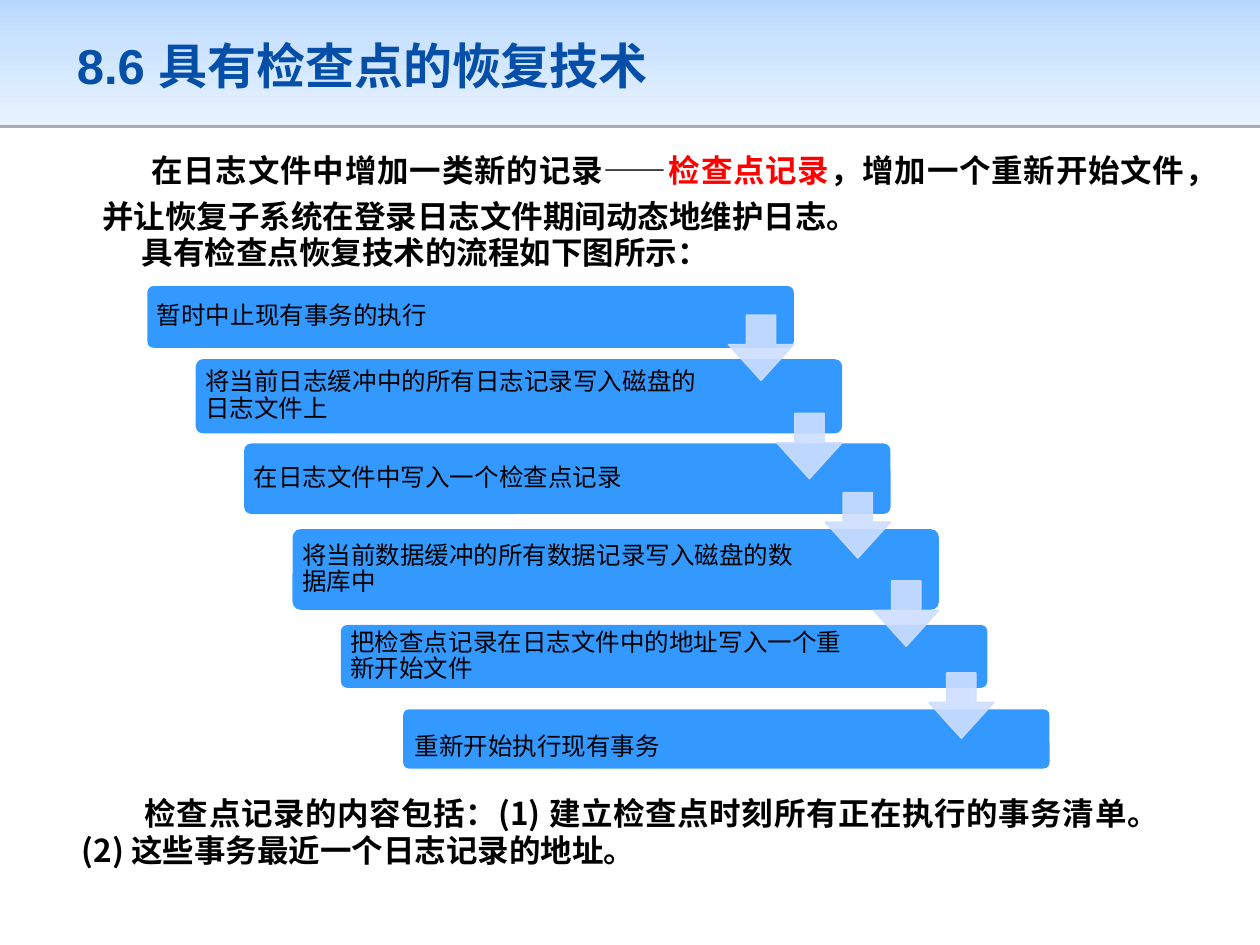
import pptx
import pptx.dml.color
import pptx.enum.shapes
import pptx.enum.text
import pptx.oxml
import pptx.oxml.ns
import pptx.util

RGBColor = pptx.dml.color.RGBColor
BLACK = RGBColor(0x00, 0x00, 0x00)
RED = RGBColor(0xFF, 0x00, 0x00)
TITLE_BLUE = RGBColor(0x05, 0x4F, 0xA9)
STEP_BLUE = RGBColor(0x33, 0x99, 0xFF)
ARROW_BLUE = RGBColor(0xCE, 0xDE, 0xFF)
HEADER_STOPS = [
    (0, RGBColor(0xB7, 0xD9, 0xFF)),
    (35, RGBColor(0xCB, 0xE3, 0xFF)),
    (100, RGBColor(0xE8, 0xF3, 0xFF)),
]

CELL = pptx.util.Inches(0.1)
COLUMNS, ROWS = 100, 75
CJK_FONT = "Noto Sans CJK SC"
SHAPES = pptx.enum.shapes.MSO_SHAPE
ANCHORS = pptx.enum.text.MSO_ANCHOR
ALIGN = pptx.enum.text.PP_ALIGN
NAMESPACE = pptx.oxml.ns.nsdecls("a")

BOLD_TEXT = {"size": pptx.util.Pt(18), "bold": True, "name": CJK_FONT}
STEP_TEXT = {"size": pptx.util.Pt(14), "bold": False, "name": CJK_FONT}
TITLE_TEXT = {"size": pptx.util.Pt(28), "bold": True, "name": "Arial"}
STEP_PARAGRAPH = {"line_spacing": 0.9, "space_after": pptx.util.Pt(5)}
STEP_FRAME = {"vertical_anchor": ANCHORS.MIDDLE} | {
    f"margin_{side}": 0.6 * CELL for side in ("left", "top", "right", "bottom")
}

STEP_WIDTH, ARROW_SIZE, STAIR = 51.3, 5.2, 3.84
STEPS = [
    ("暂时中止现有事务的执行", 22.7, 4.9),
    ("将当前日志缓冲中的所有日志记录写入磁盘的日志文件上", 28.5, 5.9),
    ("在日志文件中写入一个检查点记录", 35.2, 5.6),
    ("将当前数据缓冲的所有数据记录写入磁盘的数据库中", 42, 6.4),
    ("把检查点记录在日志文件中的地址写入一个重新开始文件", 49.6, 5),
]
ARROW_ROWS = [25, 32.8, 39.1, 46.1]


def cells(*counts):
    return [round(count * CELL) for count in counts]


def apply(target, values):
    for name, value in values.items():
        setattr(target, name, int(value) if name.startswith("margin") else value)


def place(shape, *counts):
    apply(shape, dict(zip(("left", "top", "width", "height"), cells(*counts))))


def write(shape, spans, text_format, frame_format=None, paragraph_format=None, indent=(0, 0)):
    frame = shape.text_frame
    apply(frame, {"word_wrap": True, "auto_size": pptx.enum.text.MSO_AUTO_SIZE.NONE})
    apply(frame, frame_format or {})
    para = frame.paragraphs[0]
    apply(para, paragraph_format or {})
    margin, first_line = cells(*indent)
    properties = para._p.get_or_add_pPr()
    properties.set("marL", str(margin))
    properties.set("indent", str(first_line))
    properties.append(pptx.oxml.parse_xml(f"<a:buNone {NAMESPACE}/>"))
    for text, color in spans:
        span = para.add_run()
        span.text = text
        apply(span.font, text_format)
        span.font.color.rgb = color
        span.font._element.append(
            pptx.oxml.parse_xml(f'<a:ea {NAMESPACE} typeface="{CJK_FONT}"/>')
        )


def add_box(page, *counts):
    return page.shapes.add_textbox(*cells(*counts))


def add_header(page):
    header = page.shapes.add_shape(SHAPES.RECTANGLE, *cells(0, 0, COLUMNS, 9.9))
    stops = "".join(
        f'<a:gs pos="{share * 1000}"><a:srgbClr val="{color}"/></a:gs>'
        for share, color in HEADER_STOPS
    )
    properties = header.element.spPr
    properties.append(pptx.oxml.parse_xml(
        f'<a:gradFill {NAMESPACE} rotWithShape="1"><a:gsLst>{stops}</a:gsLst>'
        '<a:lin ang="5400000" scaled="0"/></a:gradFill>'
    ))
    header.line.fill.background()
    properties.append(pptx.oxml.parse_xml(
        f'<a:effectLst {NAMESPACE}><a:outerShdw blurRad="0" dist="{pptx.util.Pt(1.6)}" '
        'dir="5400000" algn="ctr" rotWithShape="0"><a:srgbClr val="000000">'
        '<a:alpha val="33000"/></a:srgbClr></a:outerShdw></a:effectLst>'
    ))
    header.element.getparent().insert(2, header.element)


def add_step(page, text, column, row, height):
    step = page.shapes.add_shape(
        SHAPES.ROUNDED_RECTANGLE, *cells(column, row, STEP_WIDTH, height)
    )
    step.adjustments[0] = 0.1
    step.shadow.inherit = False
    step.fill.solid()
    step.fill.fore_color.rgb = STEP_BLUE
    step.line.fill.background()
    return text


def add_step_label(page, text, column, row, height):
    box = add_box(page, column, row, 41.9, height)
    write(box, [(text, BLACK)], STEP_TEXT, STEP_FRAME, STEP_PARAGRAPH)


def add_arrow(page, column, row):
    arrow = page.shapes.add_shape(
        SHAPES.DOWN_ARROW, *cells(column, row, ARROW_SIZE, ARROW_SIZE)
    )
    arrow.adjustments[0] = 0.45
    arrow.adjustments[1] = 0.55
    arrow.shadow.inherit = False
    arrow.line.width = pptx.util.Pt(0.75)
    for fill in (arrow.fill, arrow.line.fill):
        fill.solid()
        fill.fore_color.rgb = ARROW_BLUE
    for color in arrow.element.spPr.iter(pptx.oxml.ns.qn("a:srgbClr")):
        color.append(pptx.oxml.parse_xml(f'<a:alpha {NAMESPACE} val="90000"/>'))


def add_flow(page):
    first_column = 11.7
    for index, (text, row, height) in enumerate(STEPS):
        column = first_column + index * STAIR
        add_step(page, text, column, row, height)
        add_step_label(page, text, column + 0.15, row + 0.15, height - 0.3)
    for index, row in enumerate(ARROW_ROWS):
        add_arrow(page, first_column + index * STAIR + STEP_WIDTH - ARROW_SIZE, row)
    last_step = "重新开始执行现有事务"
    add_step(page, last_step, 32, 56.3, 4.7)
    add_step_label(page, last_step, 32.3, 56.4, 5.9)
    add_arrow(page, 73.7, 53.4)


def main():
    deck = pptx.Presentation()
    apply(deck, {"slide_width": COLUMNS * CELL, "slide_height": ROWS * CELL})
    page = deck.slides.add_slide(deck.slide_layouts[1])
    title, body = page.placeholders
    add_header(page)

    place(title, 5.1, 1.6, 89.8, 7.1)
    write(title, [("8.6 具有检查点的恢复技术", TITLE_BLUE)], TITLE_TEXT,
          {"vertical_anchor": ANCHORS.MIDDLE}, {"alignment": ALIGN.LEFT})

    place(body, 5.1, 10.9, 92.5, 8.6)
    write(body, [
        ("在日志文件中增加一类新的记录——", BLACK),
        ("检查点记录", RED),
        ("，增加一个重新开始文件，并让恢复子系统在登录日志文件期间动态地维护日志。", BLACK),
    ], BOLD_TEXT, None, {
        "alignment": ALIGN.JUSTIFY, "line_spacing": 1.2, "space_before": pptx.util.Pt(3.6),
    }, (2, 3.9))

    add_flow(page)
    notes = [
        ("检查点记录的内容包括：(1) 建立检查点时刻所有正在执行的事务清单。"
         "(2) 这些事务最近一个日志记录的地址。", 5.5, 62.5, 7),
        (" 具有检查点恢复技术的流程如下图所示：", 4.7, 18, 4.7),
    ]
    for text, column, row, height in notes:
        box = add_box(page, column, row, 87.5, height)
        write(box, [(text, BLACK)], BOLD_TEXT, None, {"alignment": ALIGN.JUSTIFY}, (0, 5))
    deck.save("out.pptx")


if __name__ == "__main__":
    main()
